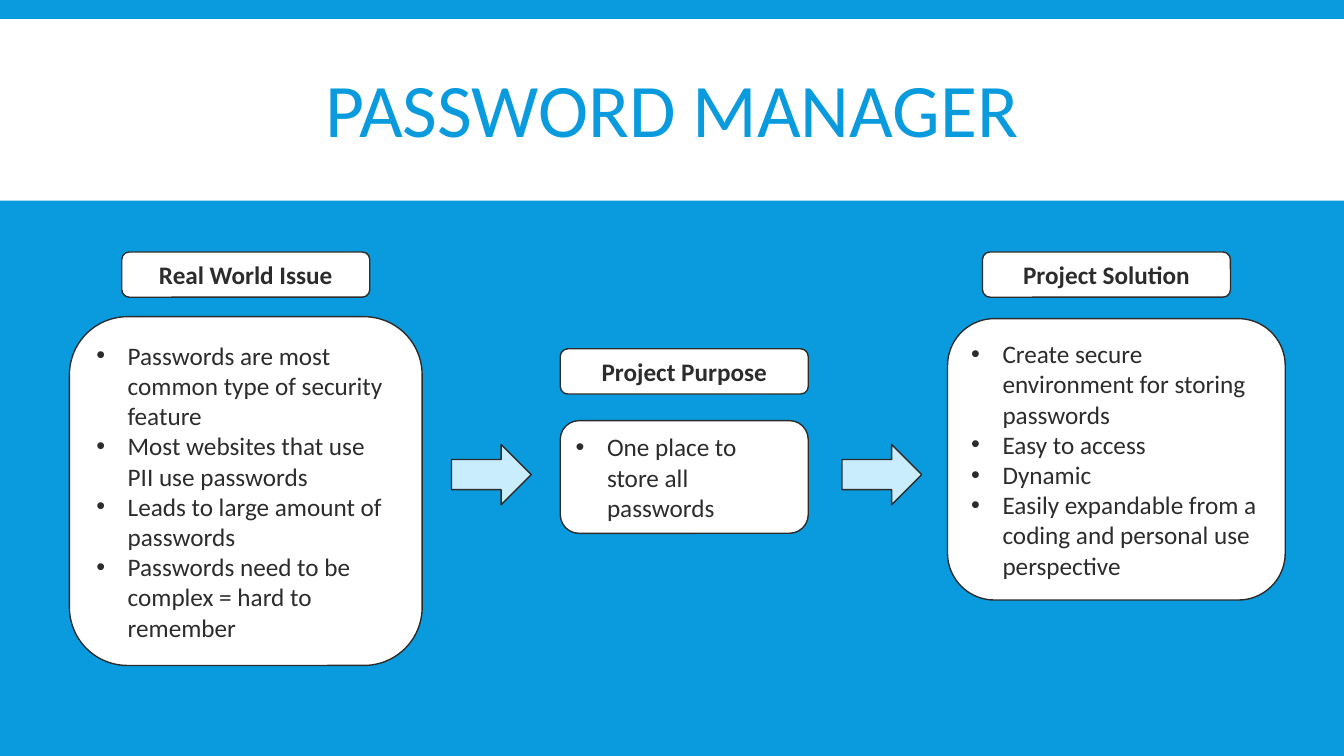
from pptx import Presentation
from pptx.dml.color import RGBColor as Rgb
from pptx.enum.shapes import MSO_SHAPE as Kind
from pptx.enum.text import MSO_ANCHOR as Anchor, MSO_AUTO_SIZE as Fit, PP_ALIGN as Align
from pptx.oxml.ns import qn
from pptx.util import Cm, Pt
from lxml.etree import SubElement as Sub

HUES = {"blue": "099BDD", "white": "FFFFFF", "ink": "2C2C2C", "pale": "C9EDFD"}


class Deck:
    font = "Calibri"
    size = 18

    def __init__(self, wide, high):
        self.prs = Presentation()
        self.prs.slide_width, self.prs.slide_height = Cm(wide), Cm(high)
        self.slide = self.prs.slides.add_slide(self.prs.slide_layouts[6])
        self.paint(self.slide.background.fill, "blue")

    def paint(self, fill, hue):
        fill.solid()
        fill.fore_color.rgb = Rgb.from_string(HUES[hue])

    def shape(self, kind, area, hue, edge="ink"):
        item = self.slide.shapes.add_shape(kind, *map(Cm, area))
        item.shadow.inherit = False
        self.paint(item.fill, hue)
        if edge:
            self.paint(item.line.fill, edge)
            item.line.width = Pt(1)
        else:
            item.line.fill.background()
        return item

    def text(self, para, words, align, hue="ink", size=size, bold=False):
        para.alignment = align
        run = para.add_run()
        run.text = words
        run.font.name, run.font.size, run.font.bold = self.font, Pt(size), bold
        self.paint(run.font.fill, hue)

    def frame(self, item):
        frame = item.text_frame
        frame.word_wrap = True
        frame.vertical_anchor = Anchor.MIDDLE
        return frame

    def title(self, words, area):
        frame = self.frame(self.slide.shapes.add_textbox(*map(Cm, area)))
        para = frame.paragraphs[0]
        para.line_spacing = 0.85
        self.text(para, words, Align.CENTER, "blue", 54)

    def card(self, area):
        frame = self.frame(self.shape(Kind.ROUNDED_RECTANGLE, area, "white"))
        frame.auto_size = Fit.SHAPE_TO_FIT_TEXT
        return frame

    def label(self, words, area):
        self.text(self.card(area).paragraphs[0], words, Align.CENTER, bold=True)

    def points(self, lines, area):
        frame = self.card(area)
        for i, line in enumerate(lines):
            para = frame.add_paragraph() if i else frame.paragraphs[0]
            self.text(para, line, Align.LEFT)
            props = para._p.get_or_add_pPr()
            props.set("marL", str(Cm(0.79)))
            props.set("indent", str(-Cm(0.79)))
            Sub(props, qn("a:buFont"), typeface="Arial")
            Sub(props, qn("a:buChar"), char="•")


def main():
    deck = Deck(33.87, 19.05)

    # Title band
    deck.shape(Kind.RECTANGLE, (0, 0.48, 33.87, 4.58), "white", None)
    deck.title("PASSWORD MANAGER", (3.35, 0.79, 27.18, 4.19))

    # Stages: heading, its left and top, box area, points
    stages = [
        ("Real World Issue", 3.07, 6.35, (1.75, 7.98, 8.89, 8.79), [
            "Passwords are most common type of security feature",
            "Most websites that use PII use passwords",
            "Leads to large amount of passwords",
            "Passwords need to be complex = hard to remember"]),
        ("Project Purpose", 14.12, 8.79, (14.12, 10.6, 6.25, 2.84), [
            "One place to store all passwords"]),
        ("Project Solution", 24.76, 6.35, (23.88, 8.03, 8.51, 7.09), [
            "Create secure environment for storing passwords",
            "Easy to access",
            "Dynamic",
            "Easily expandable from a coding and personal use perspective"]),
    ]
    for head, left, top, area, lines in stages:
        deck.label(head, (left, top, 6.25, 1.14))
        deck.points(lines, area)

    # Arrows between stages
    for left in (11.38, 21.22):
        deck.shape(Kind.RIGHT_ARROW, (left, 11.2, 2.01, 1.52), "pale")

    deck.prs.save("out.pptx")


if __name__ == "__main__":
    main()
